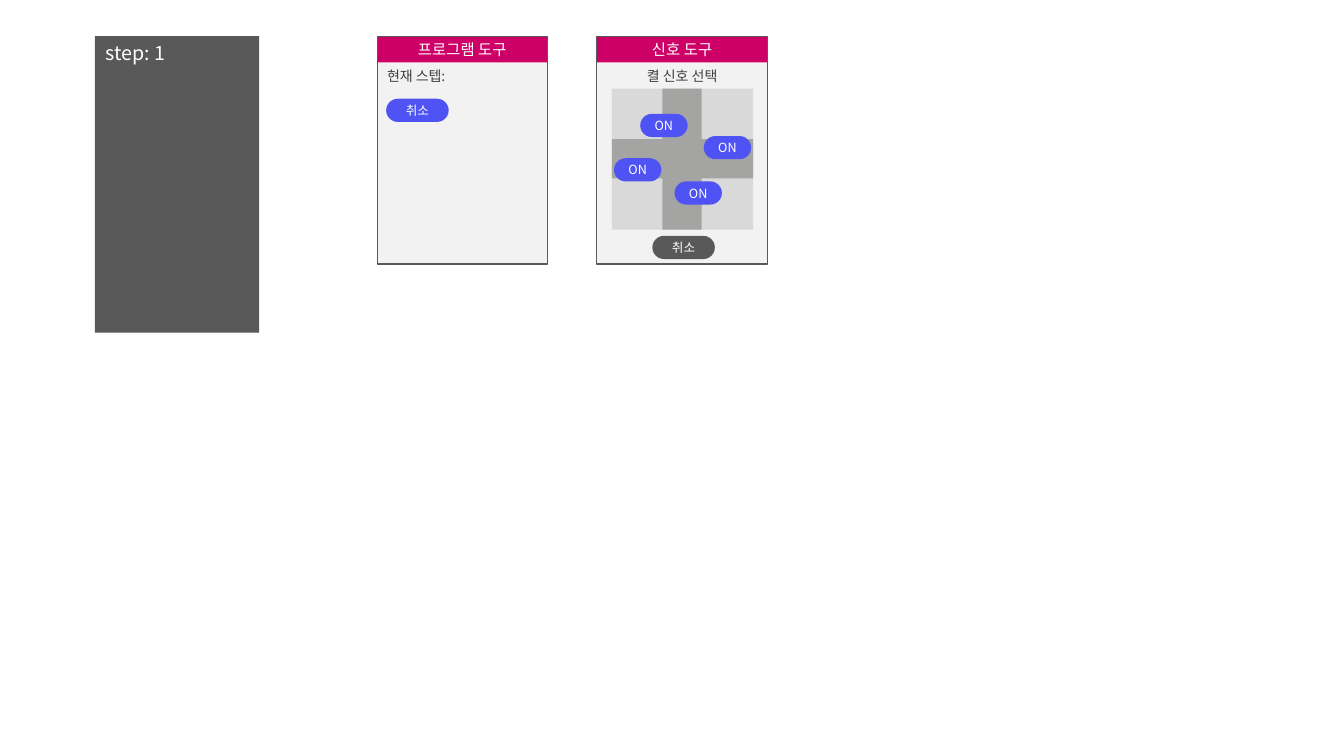
from lxml import etree
from pptx import Presentation
from pptx.dml.color import RGBColor
from pptx.enum.shapes import MSO_SHAPE
from pptx.enum.text import MSO_ANCHOR, MSO_AUTO_SIZE, PP_ALIGN
from pptx.oxml.ns import qn
from pptx.util import Pt

RECT = MSO_SHAPE.RECTANGLE
ROUND = MSO_SHAPE.ROUNDED_RECTANGLE
TOP, MIDDLE = MSO_ANCHOR.TOP, MSO_ANCHOR.MIDDLE
LEFT, CENTER = PP_ALIGN.LEFT, PP_ALIGN.CENTER
FIT = MSO_AUTO_SIZE.SHAPE_TO_FIT_TEXT

SCALE = 9144
FONT = "Noto Sans CJK KR"
COLORS = {
    "dark": "595959",
    "text": "404040",
    "pale": "F2F2F2",
    "block": "D9D9D9",
    "road": "A4A4A3",
    "pink": "CC0066",
    "blue": "4F53F3",
    "white": "FFFFFF",
}

PANEL_TOP, PANEL_WIDTH = 36, 169
HEAD, BODY = 26, 200
PILL = 23


def px(*values):
    return [value * SCALE for value in values]


def color(name):
    return RGBColor.from_string(COLORS[name])


def write(shape, text, size, ink, align=CENTER, anchor=MIDDLE):
    frame = shape.text_frame
    frame.vertical_anchor = anchor
    line = frame.paragraphs[0]
    line.alignment = align
    run = line.add_run()
    run.text = text
    run.font.size = Pt(size)
    run.font.name = FONT
    run.font.color.rgb = color(ink)
    asian = etree.SubElement(run.font._element, qn("a:ea"))
    asian.set("typeface", FONT)


def box(shapes, place, fill=None, kind=RECT):
    shape = shapes.add_shape(kind, *px(*place))
    shape.shadow.inherit = False
    shape.line.fill.background()
    if fill:
        shape.fill.solid()
        shape.fill.fore_color.rgb = color(fill)
    else:
        shape.fill.background()
    return shape


def pill(shapes, left, top, width, text, fill="blue"):
    shape = box(shapes, (left, top, width, PILL), fill, ROUND)
    shape.adjustments[0] = 0.5
    write(shape, text, 9, "white")


def panel(shapes, left, title, label, align):
    group = shapes.add_group_shape().shapes
    body = box(group, (left, PANEL_TOP + HEAD, PANEL_WIDTH, BODY), "pale")
    write(body, label, 10, "text", align, TOP)
    head = box(group, (left, PANEL_TOP, PANEL_WIDTH, HEAD), "pink")
    write(head, title, 11, "white")
    edge = box(group, (left, PANEL_TOP, PANEL_WIDTH, HEAD + BODY))
    edge.line.color.rgb = color("dark")
    edge.line.width = Pt(0.75)


def crossing(shapes, left, top, side, road):
    group = shapes.add_group_shape().shapes
    inset = (side - road) // 2
    box(group, (left, top, side, side), "block")
    box(group, (left, top + inset, side, road), "road")
    box(group, (left + inset, top, road, side), "road")


def screen(shapes):
    box(shapes, (94, PANEL_TOP, 163, 294), "dark")
    label = shapes.add_textbox(*px(95, PANEL_TOP, 80, 34))
    label.text_frame.word_wrap = False
    label.text_frame.auto_size = FIT
    write(label, "step: 1", 14, "white", LEFT, TOP)


def main():
    deck = Presentation()
    deck.slide_width, deck.slide_height = px(1333, 750)
    shapes = deck.slides.add_slide(deck.slide_layouts[6]).shapes

    screen(shapes)

    panel(shapes, 374, "프로그램 도구", "현재 스텝:", LEFT)
    pill(shapes, 383, 98, 62, "취소")

    panel(shapes, 592, "신호 도구", "켤 신호 선택", CENTER)
    crossing(shapes, 607, 88, 140, 39)
    for left, top in ((609, 157), (698, 135), (669, 180), (635, 113)):
        pill(shapes, left, top, 47, "ON")
    pill(shapes, 647, 234, 62, "취소", "dark")

    deck.save("out.pptx")


if __name__ == "__main__":
    main()
